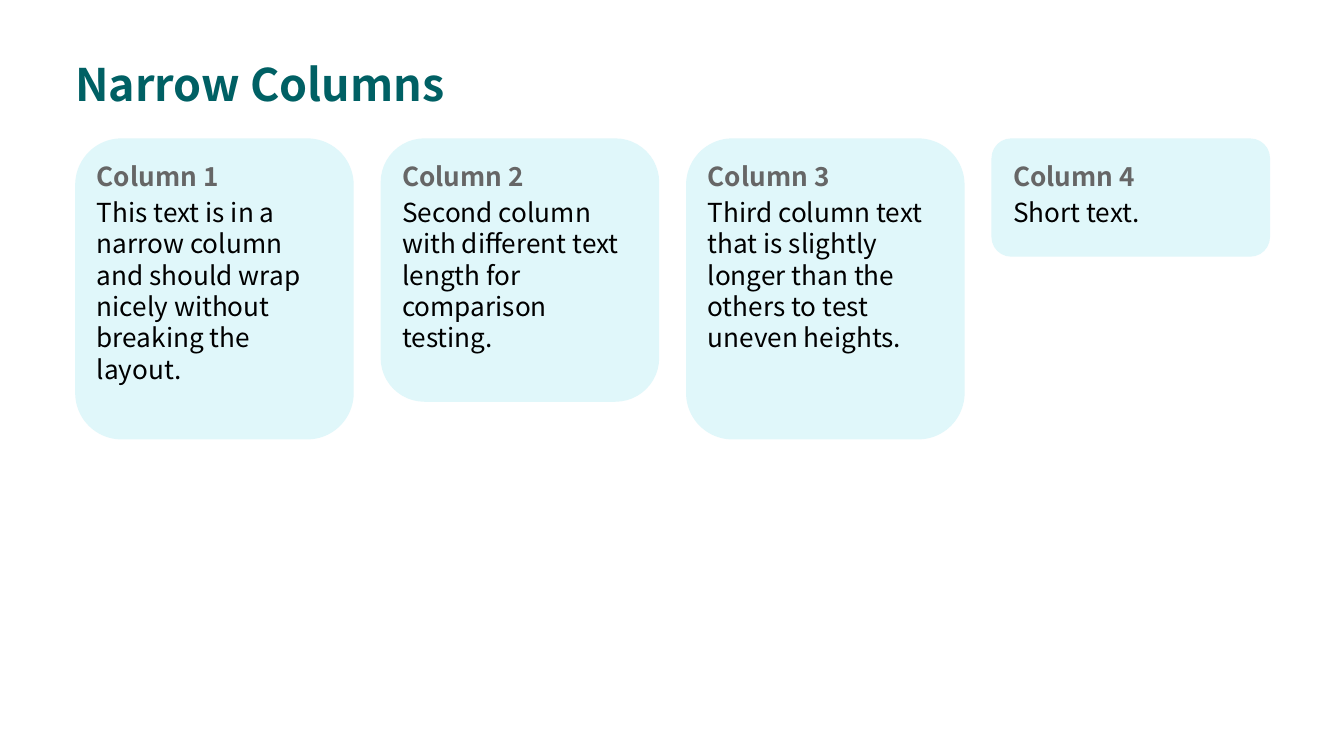
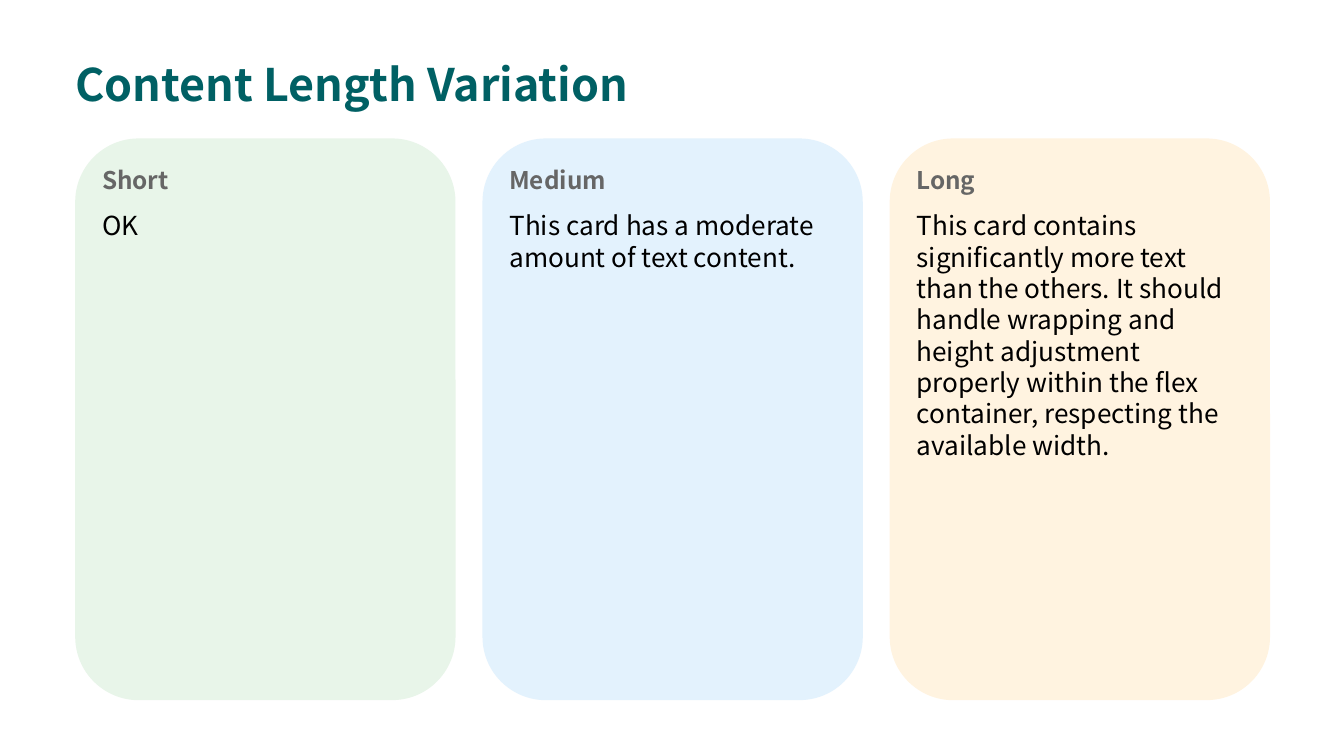
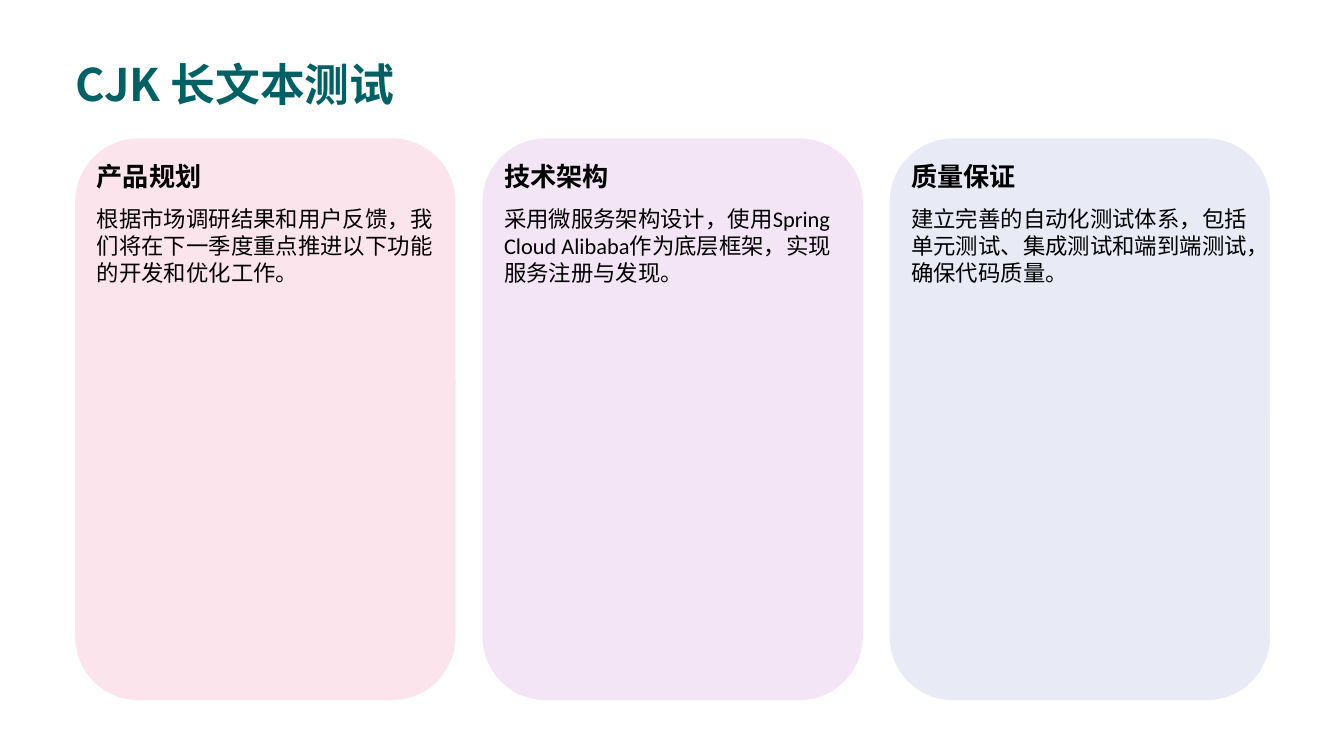
from pptx import Presentation
from pptx.dml.color import RGBColor
from pptx.enum.shapes import MSO_SHAPE
from pptx.enum.text import MSO_ANCHOR, MSO_AUTO_SIZE, PP_ALIGN
from pptx.oxml.ns import qn
from pptx.util import Inches, Pt

NOTO = "Noto Sans CJK SC"
TEAL, GREY, BLACK = "006064", "666666", "000000"
CYAN = "E0F7FA"

# Shared grid, in inches
LEFT, CARD_TOP, CONTENT_WIDTH, GAP = 0.56, 1.03, 8.89, 0.2


def color(hex_code):
    return RGBColor.from_string(hex_code)


def write(frame, text, size, font=NOTO, fill=BLACK, bold=False):
    """Fill a text frame with one formatted paragraph."""
    frame.margin_left = frame.margin_right = 0
    frame.margin_top = frame.margin_bottom = 0
    frame.word_wrap = True
    frame.auto_size = MSO_AUTO_SIZE.NONE
    frame.vertical_anchor = MSO_ANCHOR.TOP
    paragraph = frame.paragraphs[0]
    paragraph.alignment = PP_ALIGN.LEFT
    run = paragraph.add_run()
    run.text = text
    run.font.size = Pt(size)
    run.font.name = font
    run.font.bold = bold
    run.font.color.rgb = color(fill)
    # East Asian glyphs always come from the CJK family
    latin = run.font._element.find(qn("a:latin"))
    east_asian = latin.makeelement(qn("a:ea"), {"typeface": NOTO})
    latin.addnext(east_asian)


class Deck:
    def __init__(self):
        self.prs = Presentation()
        self.prs.slide_width = Inches(10)
        self.prs.slide_height = Inches(10) * 9 // 16
        self.slide = None

    def start(self, title):
        self.slide = self.prs.slides.add_slide(self.prs.slide_layouts[5])
        heading = self.slide.shapes.title
        heading.left, heading.top = Inches(LEFT), Inches(0.42)
        heading.width, heading.height = Inches(CONTENT_WIDTH), Inches(0.47)
        write(heading.text_frame, title, 24, fill=TEAL, bold=True)

    def panel(self, x, width, height, fill):
        panel = self.slide.shapes.add_shape(
            MSO_SHAPE.ROUNDED_RECTANGLE,
            Inches(x), Inches(CARD_TOP), Inches(width), Inches(height))
        panel.shadow.inherit = False
        panel.fill.solid()
        panel.fill.fore_color.rgb = color(fill)
        panel.line.fill.background()

    def text(self, x, y, width, height, content, **style):
        box = self.slide.shapes.add_textbox(
            Inches(x), Inches(y), Inches(width), Inches(height))
        write(box.text_frame, content, **style)

    def cards(self, cards, pad, body_offset, label_style, body_style):
        """Spread cards of equal width; body_offset is from the card top."""
        width = (CONTENT_WIDTH - GAP * (len(cards) - 1)) / len(cards)
        for i, (label, body, fill, height, body_height) in enumerate(cards):
            x = LEFT + i * (width + GAP)
            inner = width - 2 * pad
            self.panel(x, width, height, fill)
            self.text(x + pad, CARD_TOP + pad, inner, 0.29, label, **label_style)
            self.text(x + pad, CARD_TOP + body_offset, inner, body_height,
                      body, **body_style)


def main():
    deck = Deck()
    tall = 4.18

    # Four narrow columns
    deck.start("Narrow Columns")
    deck.cards([
        ("Column 1", "This text is in a narrow column and should wrap nicely "
         "without breaking the layout.", CYAN, 2.24, 1.64),
        ("Column 2", "Second column with different text length for "
         "comparison testing.", CYAN, 1.96, 1.36),
        ("Column 3", "Third column text that is slightly longer than the "
         "others to test uneven heights.", CYAN, 2.24, 1.64),
        ("Column 4", "Short text.", CYAN, 0.88, 0.28),
    ], pad=0.16, body_offset=0.43,
        label_style=dict(size=14, fill=GREY, bold=True),
        body_style=dict(size=14))

    # Short, medium and long content
    deck.start("Content Length Variation")
    deck.cards([
        ("Short", "OK", "E8F5E9", tall, 0.29),
        ("Medium", "This card has a moderate amount of text content.",
         "E3F2FD", tall, 0.83),
        ("Long", "This card contains significantly more text than the others. "
         "It should handle wrapping and height adjustment properly within the "
         "flex container, respecting the available width.",
         "FFF3E0", tall, 2.47),
    ], pad=0.2, body_offset=0.53,
        label_style=dict(size=13, fill=GREY, bold=True),
        body_style=dict(size=14))

    # Chinese text
    deck.start("CJK 长文本测试")
    deck.cards([
        ("产品规划", "根据市场调研结果和用户反馈，我们将在下一季度重点推进以下功能的开发和优化工作。",
         "FCE4EC", tall, 0.71),
        ("技术架构", "采用微服务架构设计，使用Spring Cloud Alibaba作为底层框架，实现服务注册与发现。",
         "F3E5F5", tall, 0.71),
        ("质量保证", "建立完善的自动化测试体系，包括单元测试、集成测试和端到端测试，确保代码质量。",
         "E8EAF6", tall, 0.71),
    ], pad=0.16, body_offset=0.5,
        label_style=dict(size=14, font="Calibri", bold=True),
        body_style=dict(size=12, font="Calibri"))

    deck.prs.save("out.pptx")


if __name__ == "__main__":
    main()
